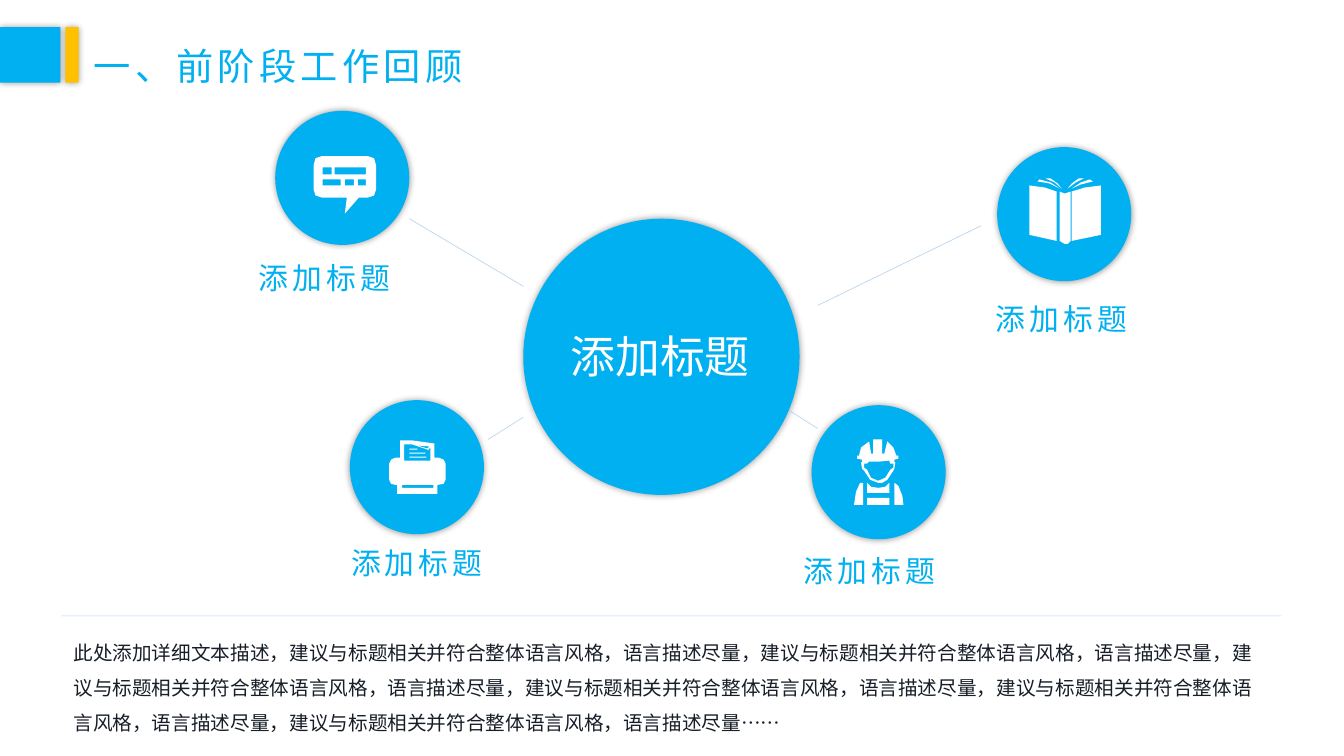
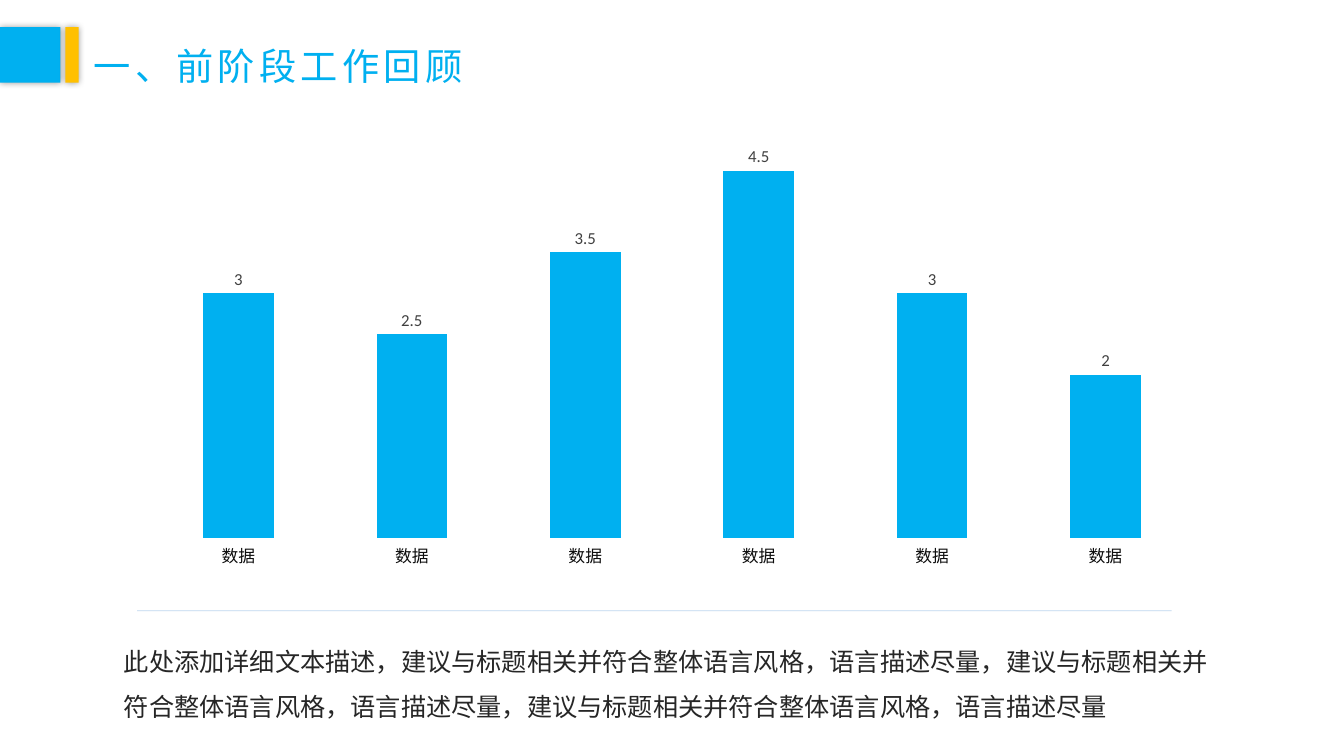
"""Build two review slides: a hub diagram and a column chart."""
from lxml import etree
from pptx import Presentation
from pptx.chart.data import CategoryChartData as ChartData
from pptx.dml.color import RGBColor
from pptx.enum.chart import XL_CHART_TYPE as Kind, XL_LABEL_POSITION as Spot, XL_TICK_MARK as Tick
from pptx.enum.shapes import MSO_CONNECTOR as Link, MSO_SHAPE as Form
from pptx.enum.text import MSO_ANCHOR as Anchor, MSO_AUTO_SIZE as Fit, PP_ALIGN as Align
from pptx.oxml.ns import qn
from pptx.util import Inches, Pt

BLUE = RGBColor(0x00, 0xB0, 0xF0)
GOLD = RGBColor(0xFF, 0xC0, 0x00)
WHITE = RGBColor(0xFF, 0xFF, 0xFF)
STEEL = RGBColor(0x5B, 0x9B, 0xD5)
NAVY = RGBColor(0x17, 0x1E, 0x28)
DARK = RGBColor(0x26, 0x26, 0x26)
GREY = RGBColor(0x40, 0x40, 0x40)
INK = RGBColor(0x0D, 0x0D, 0x0D)
BLACK = RGBColor(0, 0, 0)
SANS = "Noto Sans CJK SC"
LABEL = "添加标题"
LEAD = "此处添加详细文本描述，"
ADVICE = "建议与标题相关并符合整体语言风格，语言描述尽量"

STYLES = {
    "title": {"size": 26.6, "color": BLUE, "spc": 300, "line_spacing": 1.5, "vertical_anchor": Anchor.MIDDLE},
    "hub": {"size": 32, "color": WHITE},
    "label": {"size": 21.3, "color": BLUE, "spc": 300, "alignment": Align.CENTER},
    "note": {"size": 14, "color": NAVY, "line_spacing": 1.5, "word_wrap": True},
    "body": {"size": 18, "color": DARK, "line_spacing": 1.5, "word_wrap": True},
}


def block(slide, form, box, fill):
    """Add a filled shape with a soft shadow."""
    shape = slide.shapes.add_shape(form, *map(Inches, box))
    shape.fill.solid()
    shape.fill.fore_color.rgb = fill
    shape.line.fill.background()
    shape.shadow.inherit = False
    glow = etree.SubElement(shape.element.spPr.find(qn("a:effectLst")), qn("a:outerShdw"),
                            blurRad=str(Pt(5)), dist="0", dir="0", algn="ctr", rotWithShape="0")
    tint = etree.SubElement(glow, qn("a:srgbClr"), val="000000")
    etree.SubElement(tint, qn("a:alpha"), val="40000")


def write(slide, text, box, style):
    """Add a text box in one of the named styles."""
    frame = slide.shapes.add_textbox(*map(Inches, box)).text_frame
    frame.word_wrap = False
    frame.auto_size = Fit.SHAPE_TO_FIT_TEXT
    para = frame.paragraphs[0]
    run = para.add_run()
    run.text = text
    run.font.name = SANS
    props = run.font._element
    for key, value in STYLES[style].items():
        if key == "size":
            run.font.size = Pt(value)
        elif key == "color":
            run.font.color.rgb = value
        elif key == "spc":
            props.set("spc", str(value))
        elif key in ("word_wrap", "vertical_anchor"):
            setattr(frame, key, value)
        else:
            setattr(para, key, value)
    props.find(qn("a:latin")).addnext(etree.Element(qn("a:ea"), typeface=SANS))


deck = Presentation()
deck.slide_width, deck.slide_height = Inches(13.33), Inches(7.5)
hub, stats = [deck.slides.add_slide(deck.slide_layouts[6]) for _ in range(2)]

for slide in (hub, stats):
    write(slide, "一、前阶段工作回顾", (0.83, 0.19, 3.93, 0.69), "title")
    block(slide, Form.RECTANGLE, (0, 0.27, 0.6, 0.55), BLUE)
    block(slide, Form.RECTANGLE, (0.65, 0.27, 0.13, 0.55), GOLD)

block(hub, Form.OVAL, (5.19, 2.17, 2.74, 2.74), BLUE)
write(hub, LABEL, (5.56, 3.21, 2, 0.64), "hub")

BUBBLE = [
    (8, 0, 54, 0, 60, 2, 62, 9, 62, 33, 60, 39, 54, 41, 45, 41, 31, 57, 33, 41, 8, 41,
     2, 39, 0, 33, 0, 9, 2, 2),
    (9, 11, 18, 18), (21, 11, 52, 18), (9, 23, 27, 29), (31, 23, 40, 29), (44, 23, 52, 29),
]
BOOK = [
    (30, 13, 35, 15, 41, 13, 41, 62, 38, 65, 35, 65, 30, 62),
    (32, 10, 28, 5, 21, 0, 16, 0, 25, 4),
    (30, 10, 20, 5, 8, 3, 10, 1, 21, 4),
    (38, 10, 42, 5, 49, 0, 54, 0, 46, 4),
    (42, 10, 51, 6, 63, 3, 60, 1, 51, 4),
    (42, 13, 55, 9, 71, 7, 71, 56, 42, 62),
    (27, 13, 15, 9, 0, 7, 0, 56, 27, 62),
]
PRINTER = [
    (48, 44, 48, 53, 8, 53, 8, 44, 6, 44, 2, 43, 0, 39, 0, 23, 2, 19, 6, 17, 11, 17, 11, 0,
     23, 0, 45, 3, 45, 17, 49, 17, 54, 19, 56, 23, 56, 39, 54, 43, 49, 44),
    (15, 20, 41, 20, 41, 7, 39, 9, 39, 10, 38, 9, 23, 4, 15, 4),
    (13, 44, 44, 47), (20, 16, 37, 17), (20, 12, 36, 13), (20, 8, 28, 9),
    (40, 6, 38, 8, 28, 5),
]
WORKER = [
    (40, 22, 41, 23, 40, 29, 39, 31, 33, 40, 28, 43, 24, 43, 16, 40, 10, 31, 8, 29, 7, 23,
     8, 22, 8, 20, 3, 19, 3, 16, 5, 16, 7, 8, 15, 2, 17, 14, 19, 14, 19, 0, 28, 0, 28, 14,
     30, 14, 33, 2, 39, 8, 42, 16, 44, 16, 44, 19, 40, 20),
    (35, 21, 25, 22, 15, 22, 13, 24, 10, 24, 10, 28, 13, 30, 17, 38, 24, 41, 31, 38,
     36, 30, 39, 28, 39, 24, 36, 24),
    (6, 43, 9, 43, 9, 65, 0, 65, 2, 52),
    (13, 43, 17, 47, 24, 48, 31, 47, 35, 43, 35, 53, 13, 53),
    (40, 43, 44, 46, 48, 56, 49, 65, 40, 65),
    (13, 58, 35, 65),
]
NODES = [
    ((2.73, 1.1), BUBBLE, (3.11, 1.55), (2.43, 2.53)),
    ((9.89, 1.46), BOOK, (10.21, 1.77), (9.74, 2.93)),
    ((3.47, 3.97), PRINTER, (3.86, 4.37), (3.35, 5.36)),
    ((8.05, 4.02), WORKER, (8.47, 4.36), (7.84, 5.43)),
]
for disc, icon, spot, label in NODES:
    block(hub, Form.OVAL, (*disc, 1.33, 1.33), BLUE)
    pen = None
    for ring in icon:
        if len(ring) == 4:
            x, y, right, low = ring
            ring = (x, y, right, y, right, low, x, low)
        pts = list(zip(ring[::2], ring[1::2]))
        if pen is None:
            pen = hub.shapes.build_freeform(*pts[0], scale=Inches(0.01))
        else:
            pen.move_to(*pts[0])
        pen.add_line_segments(pts[1:], close=True)
    art = pen.convert_to_shape(*map(Inches, spot))
    art.fill.solid()
    art.fill.fore_color.rgb = WHITE
    art.line.fill.background()
    art.shadow.inherit = False
    write(hub, LABEL, (*label, 1.57, 0.46), "label")

write(hub, LEAD + "，".join([ADVICE] * 6) + "……", (0.63, 6.19, 12.08, 1.12), "note")

data = ChartData()
data.categories = ["数据"] * 6
data.add_series("Series 1", (3, 2.5, 3.5, 4.5, 3, 2))
box = map(Inches, (1.29, 1.2, 10.75, 4.52))
chart = stats.shapes.add_chart(Kind.COLUMN_CLUSTERED, *box, data).chart
chart.has_legend = chart.has_title = False
plot = chart.plots[0]
plot.gap_width, plot.overlap, plot.vary_by_categories = 146, -27, False
bars = plot.series[0].format.fill
bars.solid()
bars.fore_color.rgb = BLUE
plot.has_data_labels = True
tags = plot.data_labels
tags.show_value, tags.position = True, Spot.OUTSIDE_END
vals, cats = chart.value_axis, chart.category_axis
vals.visible = vals.has_major_gridlines = False
vals.minimum_scale, vals.maximum_scale = 0, 5
cats.major_tick_mark = Tick.NONE
cats.format.line.fill.background()
for font, name, size, color in (
    (chart.font, "Calibri", 10, BLACK),
    (tags.font, "Calibri", 12, GREY),
    (cats.tick_labels.font, SANS, 12, INK),
):
    font.name, font.size = name, Pt(size)
    font.color.rgb = color

write(stats, LEAD + "，".join([ADVICE] * 3), (1.13, 6.21, 11.1, 1.01), "body")

LINES = [
    (hub, 5.19, 2.84, 4.06, 2.17),
    (hub, 4.84, 4.36, 5.19, 4.14),
    (hub, 7.84, 4.08, 8.11, 4.25),
    (hub, 8.11, 3.03, 9.73, 2.24),
    (hub, 0.61, 6.11, 12.71, 6.11),
    (stats, 1.36, 6.06, 11.62, 6.06),
]
for slide, *ends in LINES:
    rule = slide.shapes.add_connector(Link.STRAIGHT, *map(Inches, ends))
    rule.line.width = Pt(0.5)
    rule.line.color.rgb = STEEL
    props = rule._element.spPr
    tint = props.find(".//" + qn("a:srgbClr"))
    etree.SubElement(tint, qn("a:alpha"), val="40000")
    etree.SubElement(props, qn("a:effectLst"))

deck.save("out.pptx")
